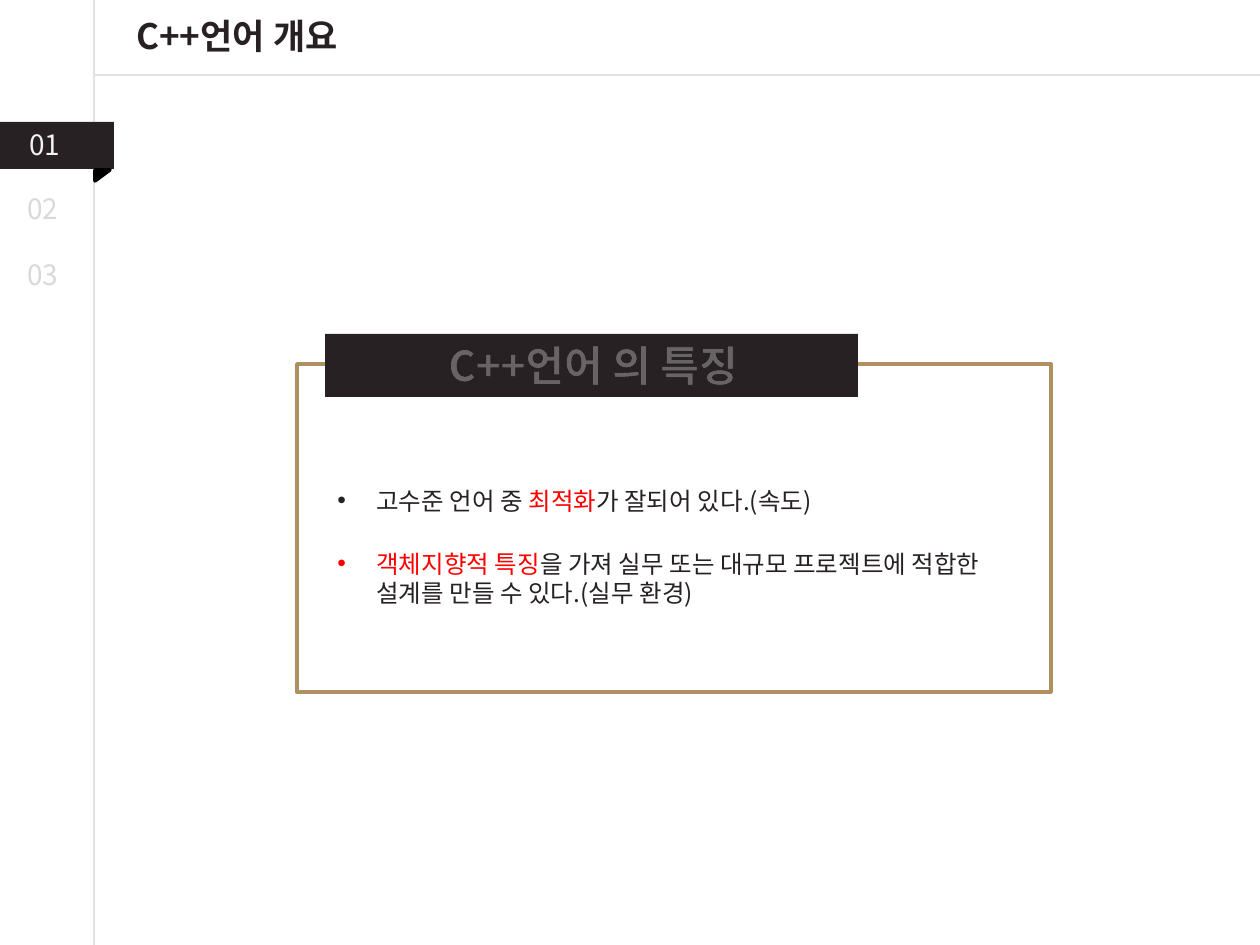
from dataclasses import dataclass

from lxml import etree
from pptx import Presentation
from pptx import util as u
from pptx.dml.color import RGBColor
from pptx.enum import shapes, text
from pptx.oxml import ns

SCALE = 914400 / 126


def px(n):
    return u.Emu(round(n * SCALE))


def node(tag, **attrs):
    return etree.Element(ns.qn(tag), attrs)


def fade(ink, share):
    fill = node("a:solidFill")
    tint = node("a:srgbClr", val=ink)
    tint.append(node("a:alpha", val=str(share * 1000)))
    fill.append(tint)
    return fill


@dataclass
class Theme:
    face: str = "Noto Sans CJK KR"
    dark: str = "272123"
    gold: str = "AF9061"
    rule: str = "A6A6A6"
    pale: str = "F2F2F2"
    dim: str = "D9D9D9"
    red: str = "FF0000"
    white: str = "FFFFFF"
    black: str = "000000"
    body: int = 14
    tab: int = 16
    title: int = 20
    head: int = 24


class Deck:
    def __init__(self, slide, theme):
        self.slide = slide
        self.theme = theme

    def block(self, kind, box, fill=None, edge=None, turn=0):
        item = self.slide.shapes.add_shape(kind, *map(px, box))
        item.shadow.inherit = False
        item.rotation = turn
        if fill:
            item.fill.solid()
            item.fill.fore_color.rgb = RGBColor.from_string(fill)
        else:
            item.fill.background()
        if edge:
            item.line.color.rgb = RGBColor.from_string(edge)
            item.line.width = u.Pt(2)
        else:
            item.line.fill.background()

    def rule(self, *ends):
        item = self.slide.shapes.add_connector(
            shapes.MSO_CONNECTOR.STRAIGHT, *map(px, ends))
        item.line.width = u.Pt(0.75)
        item.line.color.rgb = RGBColor.from_string(self.theme.rule)
        props = item.element.spPr
        tint = props.find(".//" + ns.qn("a:srgbClr"))
        tint.append(node("a:alpha", val="50000"))
        props.append(node("a:effectLst"))

    def frame(self, box, anchor):
        frame = self.slide.shapes.add_textbox(*map(px, box)).text_frame
        frame.word_wrap = True
        frame.vertical_anchor = anchor
        return frame

    def fill(self, para, parts, size, bold=False, edge=None):
        para.font.name = self.theme.face
        para.font.size = u.Pt(size)
        para.font.bold = bold
        base = para._p.pPr.find(ns.qn("a:defRPr"))
        base.append(node("a:ea", typeface=self.theme.face))
        for words, ink in parts:
            run = para.add_run()
            run.text = words
            run.font.color.rgb = RGBColor.from_string(ink)
            line = node("a:ln", w="9525")
            line.append(fade(edge or self.theme.black, 30))
            run._r.get_or_add_rPr().insert(0, line)

    def label(self, box, words, size, ink, bold=False, edge=None):
        para = self.frame(box, text.MSO_ANCHOR.MIDDLE).paragraphs[0]
        para.alignment = text.PP_ALIGN.CENTER if bold else text.PP_ALIGN.LEFT
        self.fill(para, [(words, ink)], size, bold, edge)

    def points(self, box, rows):
        frame = self.frame(box, text.MSO_ANCHOR.BOTTOM)
        for i, parts in enumerate(rows):
            para = frame.add_paragraph() if i else frame.paragraphs[0]
            para.line_spacing = u.Pt(17)
            if i:
                para.space_before = u.Pt(19)
            props = para._p.get_or_add_pPr()
            props.set("marL", str(px(39)))
            props.set("indent", str(-px(39)))
            props.append(node("a:buFont", typeface="Arial"))
            props.append(node("a:buChar", char="•"))
            self.fill(para, parts, self.theme.body)


def main():
    show = Presentation()
    show.slide_width, show.slide_height = px(1260), px(945)
    look = Theme()
    deck = Deck(show.slides.add_slide(show.slide_layouts[6]), look)
    kind = shapes.MSO_SHAPE

    deck.block(kind.RECTANGLE, (297, 364, 754, 328), edge=look.gold)
    deck.block(kind.RECTANGLE, (325, 334, 533, 63), look.dark)
    deck.rule(94, 0, 94, 945)
    deck.rule(1260, 75, 95, 75)
    deck.block(kind.RECTANGLE, (0, 122, 114, 47), look.dark)
    deck.block(kind.RIGHT_TRIANGLE, (97, 168, 11, 15), look.black, look.black, 90)

    deck.label((17, 121, 75, 47), "01", look.tab, look.pale, edge=look.dim)
    for i, mark in enumerate(("02", "03")):
        deck.label((15, 185 + 66 * i, 62, 47), mark, look.tab, look.dim)
    deck.label((373, 333, 440, 63), "C++언어 의 특징", look.head, look.white, True)
    deck.points((325, 444, 702, 170), [
        [("고수준 언어 중 ", look.dark), ("최적화", look.red),
         ("가 잘되어 있다.(속도)", look.dark)],
        [("객체지향적 특징", look.red),
         ("을 가져 실무 또는 대규모 프로젝트에 적합한 설계를 만들 수 있다.(실무 환경)",
          look.dark)],
    ])
    deck.label((102, 8, 270, 55), "C++언어 개요", look.title, look.dark, True)
    show.save("out.pptx")


if __name__ == "__main__":
    main()
